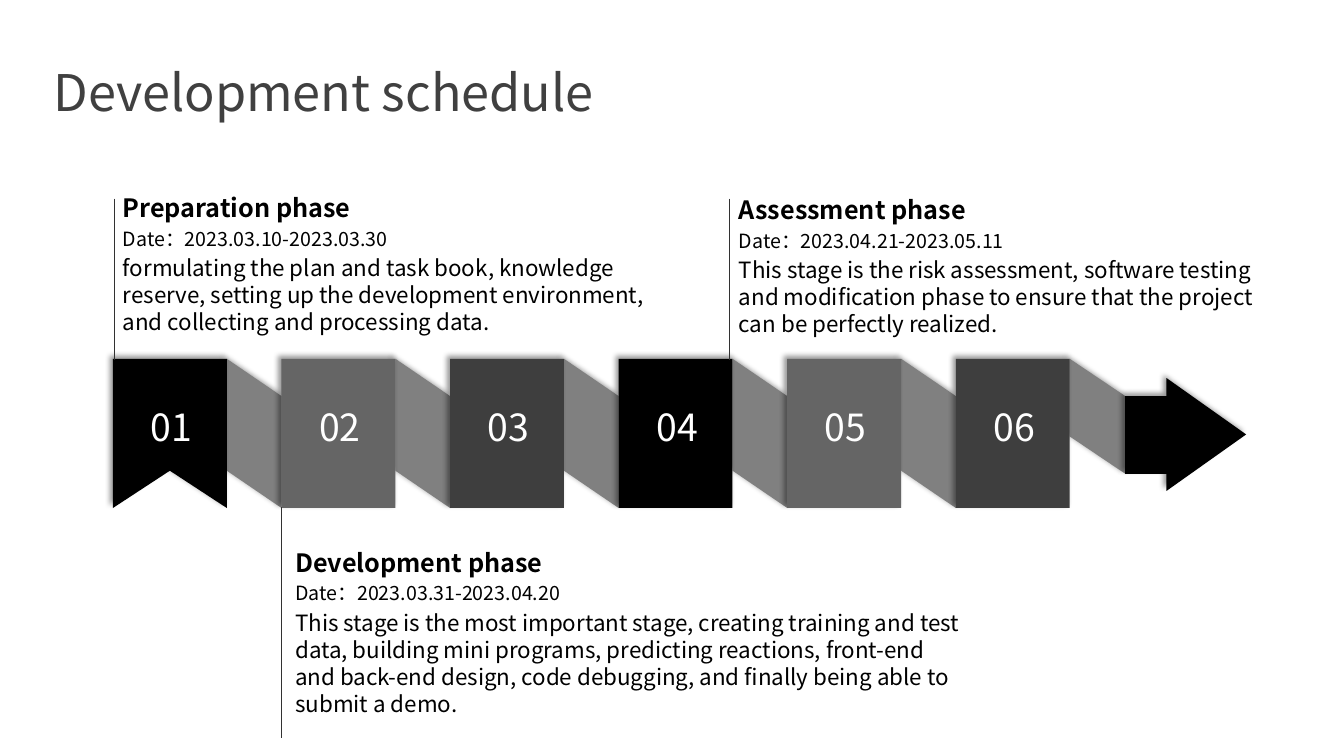
from lxml import etree
from pptx import Presentation
from pptx.dml.color import RGBColor
from pptx.enum.shapes import MSO_CONNECTOR as CONNECTOR, MSO_SHAPE as SHAPE
from pptx.enum.text import MSO_ANCHOR as ANCHOR, PP_ALIGN as ALIGN
from pptx.oxml.ns import qn
from pptx.util import Inches, Pt

FONT = "Noto Sans CJK SC"
LEFT, TOP, BOTTOM = 1.12, 3.56, 5.04
WIDTH, FOLD = 1.13, 0.37
PITCH = (9.48 - LEFT) / 5
BOX_COLORS = ["000000", "656565", "3E3E3E"]

PHASES = [
    (1.12, 1.86, 5.7, "Preparation phase", "2023.03.10-2023.03.30",
     "formulating the plan and task book, knowledge reserve, setting up the "
     "development environment, and collecting and processing data."),
    (2.83, 5.38, 6.83, "Development phase", "2023.03.31-2023.04.20",
     "This stage is the most important stage, creating training and test data, "
     "building mini programs, predicting reactions, front-end and back-end design, "
     "code debugging, and finally being able to submit a demo."),
    (7.23, 1.88, 5.58, "Assessment phase", "2023.04.21-2023.05.11",
     "This stage is the risk assessment, software testing and modification phase "
     "to ensure that the project can be perfectly realized."),
]
GUIDES = [(1.13, 1.97, 3.57), (7.23, 1.97, 3.57), (2.79, 5.03, 7.32)]


def rgb(value):
    return RGBColor.from_string(value)


def add_shadow(sp):
    """Cast a soft black shadow to the upper left."""
    sp.shadow.inherit = False
    effects = sp._element.spPr.find(qn("a:effectLst"))
    shadow = etree.SubElement(effects, qn("a:outerShdw"), blurRad=str(Pt(4)),
                              dist=str(Pt(3)), dir=str(225 * 60000),
                              algn="br", rotWithShape="0")
    color = etree.SubElement(shadow, qn("a:srgbClr"), val="000000")
    etree.SubElement(color, qn("a:alpha"), val="40000")


def paint(sp, fill):
    sp.fill.solid()
    sp.fill.fore_color.rgb = rgb(fill)
    sp.line.fill.background()
    add_shadow(sp)


def add_outline(s, points, fill):
    corners = [(Inches(x), Inches(y)) for x, y in points]
    builder = s.shapes.build_freeform(*corners[0])
    builder.add_line_segments(corners[1:], close=True)
    paint(builder.convert_to_shape(), fill)


def add_box(s, x, fill):
    sp = s.shapes.add_shape(SHAPE.RECTANGLE, Inches(x), Inches(TOP),
                            Inches(WIDTH), Inches(BOTTOM - TOP))
    paint(sp, fill)


def add_guide(s, x, top, bottom):
    line = s.shapes.add_connector(CONNECTOR.STRAIGHT, Inches(x), Inches(top),
                                  Inches(x), Inches(bottom))
    line.line.color.rgb = rgb("323232")
    line.line.width = Pt(0.5)
    etree.SubElement(line._element.spPr, qn("a:effectLst"))


def add_text_frame(s, x, y, w, h, anchor=ANCHOR.TOP):
    tf = s.shapes.add_textbox(Inches(x), Inches(y), Inches(w), Inches(h)).text_frame
    tf.word_wrap = True
    tf.vertical_anchor = anchor
    return tf


def write(tf, text, size, color="000000", bold=False, align=ALIGN.LEFT,
          before=0.2, spacing=None):
    """Add a paragraph; before is a share of the font size."""
    p = tf.paragraphs[0] if not tf.text else tf.add_paragraph()
    p.alignment = align
    p.space_before = Pt(size * before)
    if spacing:
        p.line_spacing = spacing
    r = p.add_run()
    r.text = text
    r.font.size, r.font.bold, r.font.name = Pt(size), bold, FONT
    r.font.color.rgb = rgb(color)
    for tag in ("a:ea", "a:cs"):
        etree.SubElement(r.font._element, qn(tag), typeface=FONT)


def add_phase(s, x, y, w, name, dates, details):
    tf = add_text_frame(s, x, y, w, 1.37)
    write(tf, name, 18, bold=True)
    write(tf, f"Date：{dates}", 14)
    write(tf, details, 16)


def add_ribbon(s):
    starts = [LEFT + i * PITCH for i in range(6)]
    for i, x in reversed(list(enumerate(starts))):
        near, far = x + WIDTH, x + PITCH
        end = 4.7 if i == 5 else BOTTOM
        far = 11.16 if i == 5 else far
        add_outline(s, [(near, TOP), (far, TOP + FOLD), (far, end),
                        (near, end - FOLD)], "808080")
    add_outline(s, [(11.16, 3.93), (11.57, 3.93), (11.57, 3.75), (12.36, 4.31),
                    (11.57, 4.87), (11.57, 4.7), (11.16, 4.7)], "000000")
    for i, x in enumerate(starts):
        fill = BOX_COLORS[i % 3]
        if i == 0:
            add_outline(s, [(x, TOP), (x + WIDTH, TOP), (x + WIDTH, BOTTOM),
                            (x + WIDTH / 2, BOTTOM - FOLD), (x, BOTTOM)], fill)
        else:
            add_box(s, x, fill)
        tf = add_text_frame(s, x - 0.12, 3.74, 1.4, 0.99, ANCHOR.MIDDLE)
        write(tf, f"{i + 1:02}", 26.7, "FFFFFF", align=ALIGN.CENTER)


def main():
    prs = Presentation()
    prs.slide_width, prs.slide_height = Inches(13.33), Inches(7.5)
    s = prs.slides.add_slide(prs.slide_layouts[6])
    add_ribbon(s)
    for phase in PHASES:
        add_phase(s, *phase)
    for guide in GUIDES:
        add_guide(s, *guide)
    title = add_text_frame(s, 0.21, 0.46, 7.2, 0.77, ANCHOR.MIDDLE)
    title.margin_left = Inches(0.32)
    write(title, "Development schedule", 36, "404040", before=0, spacing=1.2)
    prs.save("out.pptx")


if __name__ == "__main__":
    main()
